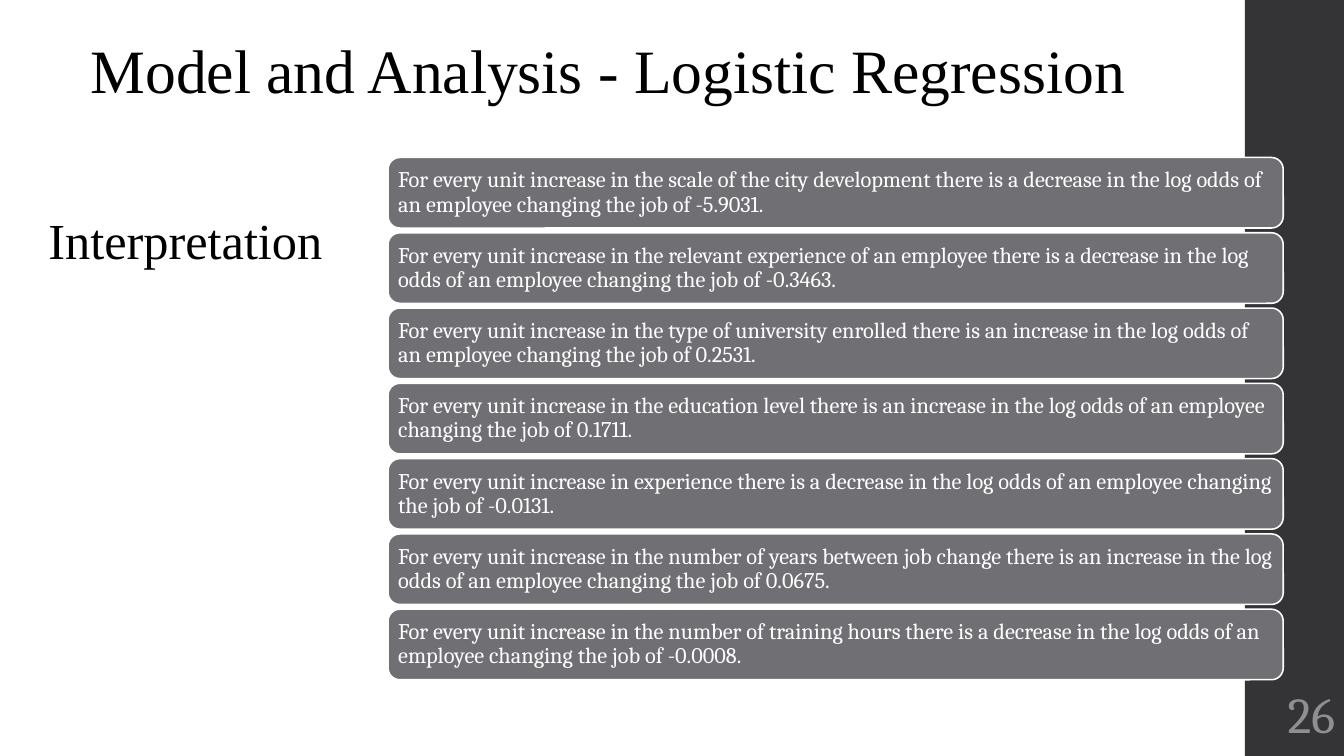
from pptx import Presentation
from pptx.dml.color import RGBColor
from pptx.enum.shapes import MSO_SHAPE
from pptx.enum.text import MSO_ANCHOR, PP_ALIGN
from pptx.util import Pt

RECTANGLE, ROUNDED = MSO_SHAPE.RECTANGLE, MSO_SHAPE.ROUNDED_RECTANGLE
TOP, MIDDLE = MSO_ANCHOR.TOP, MSO_ANCHOR.MIDDLE
LEFT, RIGHT = PP_ALIGN.LEFT, PP_ALIGN.RIGHT

COLORS = {"band": "343437", "bar": "6F6F74", "number": "8E8E93",
          "black": "000000", "white": "FFFFFF"}
HEADING_FONT, BODY_FONT = "Times New Roman", "Cambria"


def color(name):
    return RGBColor.from_string(COLORS[name])


def write(shape, text, size, font, ink, inset_x, inset_y,
          anchor=TOP, align=LEFT, spacing=1.0):
    frame = shape.text_frame
    frame.word_wrap = True
    frame.vertical_anchor = anchor
    frame.margin_left = frame.margin_right = Pt(inset_x)
    frame.margin_top = frame.margin_bottom = Pt(inset_y)
    para = frame.paragraphs[0]
    para.alignment = align
    para.line_spacing = spacing
    span = para.add_run()
    span.text = text
    span.font.size = Pt(size)
    span.font.name = font
    span.font.color.rgb = color(ink)


deck = Presentation()
deck.slide_width, deck.slide_height = Pt(960), Pt(540)
page = deck.slides.add_slide(deck.slide_layouts[6])
shapes = page.shapes

# Dark band on the right, with the page number
band = shapes.add_shape(RECTANGLE, Pt(889.2), Pt(0), Pt(70.8), Pt(540))
band.shadow.inherit = False
band.fill.solid()
band.fill.fore_color.rgb = color("band")
band.line.fill.background()

number = shapes.add_textbox(Pt(889.2), Pt(486), Pt(71.5), Pt(46.8))
write(number, "26", 36, BODY_FONT, "number", 7.2, 3.6, MIDDLE, RIGHT)

# Headings
subtitle = shapes.add_textbox(Pt(27.5), Pt(142), Pt(238.3), Pt(58.3))
write(subtitle, "Interpretation", 36, HEADING_FONT, "black", 7.2, 7.2)

title = shapes.add_textbox(Pt(57.6), Pt(21.6), Pt(844.6), Pt(62.6))
write(title, "Model and Analysis - Logistic Regression", 44, HEADING_FONT,
      "black", 7.2, 7.2, spacing=0.9)

# One bar per model coefficient: factor, direction, value
findings = [
    ("the scale of the city development there is a decrease", "-5.9031"),
    ("the relevant experience of an employee there is a decrease", "-0.3463"),
    ("the type of university enrolled there is an increase", "0.2531"),
    ("the education level there is an increase", "0.1711"),
    ("experience there is a decrease", "-0.0131"),
    ("the number of years between job change there is an increase", "0.0675"),
    ("the number of training hours there is a decrease", "-0.0008"),
]
BAR_TOP, BAR_PITCH = 112.5, 53.78

for row, (effect, value) in enumerate(findings):
    bar = shapes.add_shape(ROUNDED, Pt(277.2), Pt(BAR_TOP + row * BAR_PITCH),
                           Pt(639.4), Pt(50.4))
    bar.shadow.inherit = False
    bar.fill.solid()
    bar.fill.fore_color.rgb = color("bar")
    bar.line.color.rgb = color("white")
    bar.line.width = Pt(1.1)
    write(bar, f"For every unit increase in {effect} in the log odds of "
               f"an employee changing the job of {value}.",
          16, BODY_FONT, "white", 4.8, 4.8, MIDDLE, spacing=0.9)

deck.save("out.pptx")
